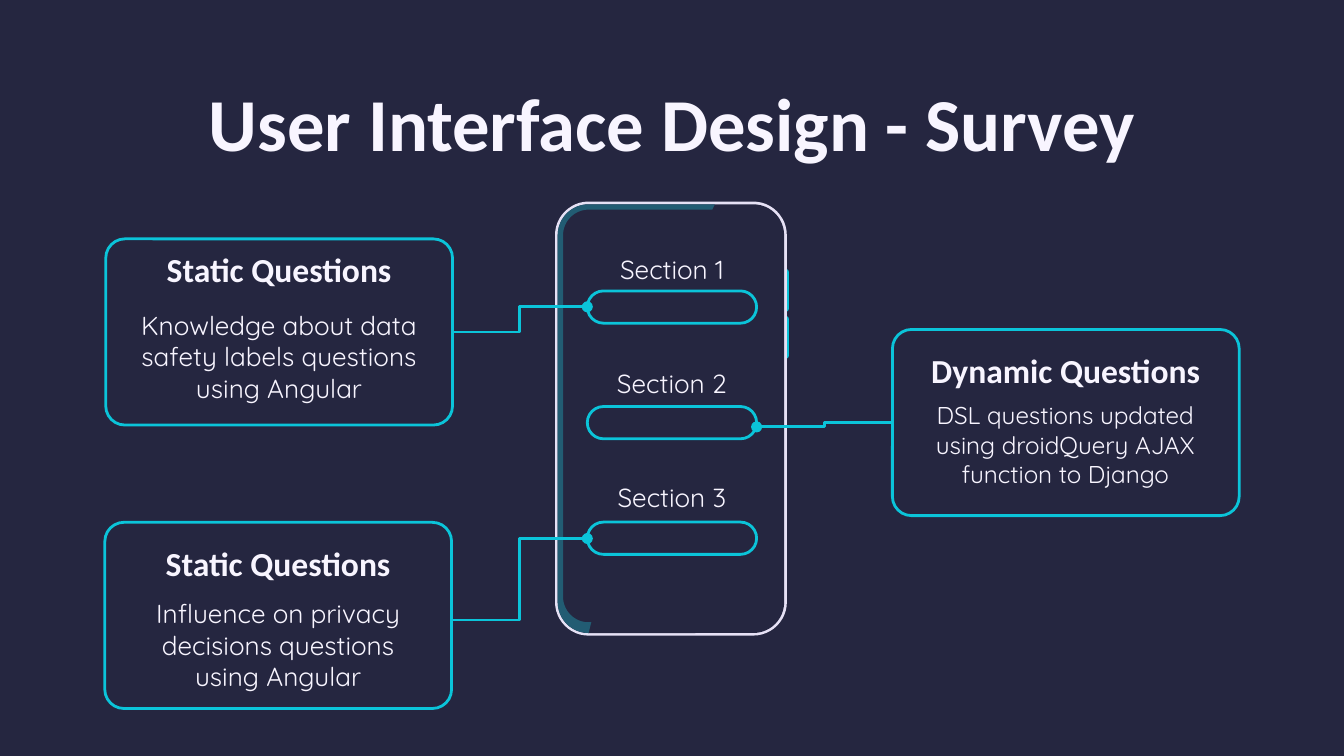
import math
from dataclasses import dataclass

import pptx
import pptx.dml.color
import pptx.enum.shapes
import pptx.enum.text
import pptx.oxml
import pptx.oxml.ns
import pptx.util

COLUMNS, ROWS = 100, 56.25
CELL = pptx.util.Inches(0.1)
SHAPES = pptx.enum.shapes.MSO_SHAPE


@dataclass(frozen=True)
class Theme:
    background: str = "252640"
    accent: str = "0BC4D9"
    text: str = "F8F5FF"
    frame: str = "E6E1F5"
    glow: str = "225C73"
    heading_font: str = "Calibri"
    body_font: str = "Quicksand"
    title_size: int = 40
    heading_size: int = 18
    body_size: int = 14
    small_size: int = 13
    line_width: float = 1.5


@dataclass(frozen=True)
class Box:
    left: float
    top: float
    width: float
    height: float

    def inside(self, left, top, width, height):
        return Box(self.left + left, self.top + top, width, height)

    def lengths(self):
        return [grid(value) for value in (self.left, self.top, self.width, self.height)]


THEME = Theme()


def grid(cells):
    return pptx.util.Emu(round(cells * CELL))


def color(value):
    return pptx.dml.color.RGBColor.from_string(value)


def paint(shape, fill=None, line=None):
    shape.shadow.inherit = False
    if fill:
        shape.fill.solid()
        shape.fill.fore_color.rgb = color(fill)
    else:
        shape.fill.background()
    if line:
        shape.line.color.rgb = color(line)
        shape.line.width = pptx.util.Pt(THEME.line_width)
    else:
        shape.line.fill.background()


def add_rounded(slide, box, radius, fill=None, line=None):
    shape = slide.shapes.add_shape(SHAPES.ROUNDED_RECTANGLE, *box.lengths())
    shape.adjustments[0] = radius / min(box.width, box.height)
    paint(shape, fill, line)


def write(shape, text, size, font, bold=False, inset=0.0, space_after=0):
    frame = shape.text_frame
    frame.word_wrap = True
    frame.auto_size = pptx.enum.text.MSO_AUTO_SIZE.NONE
    frame.vertical_anchor = pptx.enum.text.MSO_ANCHOR.MIDDLE
    frame.margin_left = frame.margin_right = grid(1)
    frame.margin_top = frame.margin_bottom = grid(inset)
    paragraph = frame.paragraphs[0]
    paragraph.alignment = pptx.enum.text.PP_ALIGN.CENTER
    paragraph.space_after = pptx.util.Pt(space_after)
    run = paragraph.add_run()
    run.text = text
    run.font.size = pptx.util.Pt(size)
    run.font.name = font
    run.font.bold = bold
    run.font.color.rgb = color(THEME.text)


def add_text(slide, box, text, size, font, **options):
    write(slide.shapes.add_textbox(*box.lengths()), text, size, font, **options)


def add_title(slide, box, text):
    title = slide.shapes.title
    title.left, title.top, title.width, title.height = box.lengths()
    write(title, text, THEME.title_size, THEME.heading_font, bold=True, inset=1)


def add_card(slide, box, heading, heading_box, body, body_box, body_size):
    add_rounded(slide, box, 1.42, line=THEME.accent)
    add_text(slide, box.inside(*heading_box), heading, THEME.heading_size,
             THEME.heading_font, bold=True, inset=1, space_after=12)
    add_text(slide, box.inside(*body_box), body, body_size, THEME.body_font)


def arc(center_x, center_y, radius, start, end, steps=16):
    angles = [math.radians(start + (end - start) * step / steps) for step in range(steps + 1)]
    return [(center_x + radius * math.cos(angle), center_y + radius * math.sin(angle))
            for angle in angles]


def add_glow(slide, box):
    corner, inner = 2.3, 1.9
    outline = [(11.7, 0), (11.5, 0.4)]
    outline += arc(corner, corner, inner, 270, 180)
    outline += arc(corner, box.height - 2.7, inner, 180, 90)
    outline += [(2.5, box.height - 0.8)]
    outline += arc(corner, box.height - corner, corner, 90, 180)
    outline += arc(corner, corner, corner, 180, 270)
    points = [(grid(box.left + x), grid(box.top + y)) for x, y in outline]
    builder = slide.shapes.build_freeform(*points[0], scale=1.0)
    builder.add_line_segments(points[1:], close=True)
    paint(builder.convert_to_shape(), THEME.glow)


def add_phone(slide, box):
    for top in (5, 8.5):
        add_rounded(slide, box.inside(16.9, top, 0.5, 3.2), 0.25, THEME.accent)
    add_rounded(slide, box, 2.5, THEME.frame)
    screen = box.inside(0.2, 0.2, box.width - 0.4, box.height - 0.4)
    add_rounded(slide, screen, 2.3, THEME.background)
    add_glow(slide, screen)


def add_sections(slide, box, count):
    for index in range(count):
        label = box.inside(0, 8.48 * index, box.width, 4.9)
        field = box.inside(0, 4.05 + 8.6 * index, box.width, 2.4)
        add_text(slide, label, f"Section {index + 1}", THEME.body_size, THEME.body_font)
        add_rounded(slide, field, field.height / 2, line=THEME.accent)


def add_link(slide, start, end):
    connector = slide.shapes.add_connector(
        pptx.enum.shapes.MSO_CONNECTOR.ELBOW, *[grid(value) for value in start + end])
    connector.line.color.rgb = color(THEME.accent)
    connector.line.width = pptx.util.Pt(THEME.line_width)
    line = connector.line._get_or_add_ln()
    namespace = pptx.oxml.ns.nsdecls("a")
    line.append(pptx.oxml.parse_xml(f'<a:tailEnd {namespace} type="oval"/>'))
    connector._element.spPr.append(pptx.oxml.parse_xml(f"<a:effectLst {namespace}/>"))


def build_survey_slide(presentation):
    slide = presentation.slides.add_slide(presentation.slide_layouts[5])
    slide.background.fill.solid()
    slide.background.fill.fore_color.rgb = color(THEME.background)
    add_title(slide, Box(7.8, 5.9, COLUMNS - 15.6, 6.3), "User Interface Design - Survey")
    add_phone(slide, Box(41.3, 15, 17.25, 32.3))

    add_card(slide, Box(7.87, 17.78, 25.8, 13.85),
             "Static Questions", (0.8, -0.2, 24.2, 4.9),
             "Knowledge about data safety labels questions using Angular",
             (1.4, 5.05, 23, 7.4), THEME.body_size)
    add_card(slide, Box(66.4, 24.52, 25.8, 13.85),
             "Dynamic Questions", (0, 0.6, 25.8, 4.9),
             "DSL questions updated using droidQuery AJAX function to Django",
             (2, 5.4, 21.7, 6.3), THEME.small_size)
    add_card(slide, Box(7.8, 38.87, 25.8, 13.85),
             "Static Questions", (0.4, 0.55, 25, 4.9),
             "Influence on privacy decisions questions using Angular",
             (1.4, 5.95, 23, 6.3), THEME.body_size)

    add_link(slide, (33.67, 24.7), (43.7, 22.83))
    add_link(slide, (66.4, 31.43), (56.3, 31.77))
    add_link(slide, (33.6, 46.13), (43.7, 40.07))
    add_sections(slide, Box(43.7, 17.6, 12.6, 24), 3)


def main():
    presentation = pptx.Presentation()
    presentation.slide_width = grid(COLUMNS)
    presentation.slide_height = grid(ROWS)
    build_survey_slide(presentation)
    presentation.save("out.pptx")


if __name__ == "__main__":
    main()
